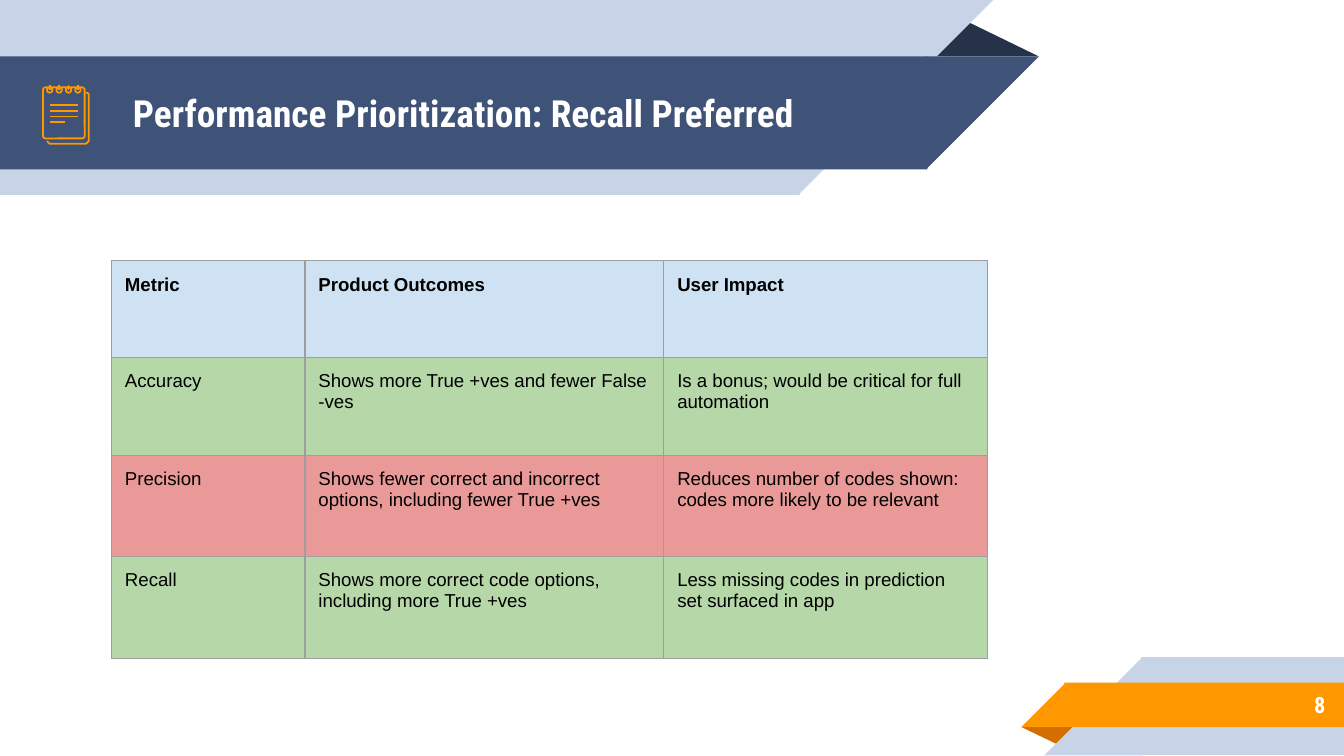
from lxml import etree
from pptx import Presentation
from pptx.dml.color import RGBColor
from pptx.enum.shapes import MSO_CONNECTOR, MSO_SHAPE
from pptx.enum.text import MSO_ANCHOR, PP_ALIGN
from pptx.oxml.ns import qn
from pptx.util import Inches, Pt

RECTANGLE = MSO_SHAPE.RECTANGLE
ROUNDED = MSO_SHAPE.ROUNDED_RECTANGLE
RIGHT_TRIANGLE = MSO_SHAPE.RIGHT_TRIANGLE
TRIANGLE = MSO_SHAPE.ISOSCELES_TRIANGLE
OVAL = MSO_SHAPE.OVAL
STRAIGHT = MSO_CONNECTOR.STRAIGHT
MIDDLE = MSO_ANCHOR.MIDDLE
LEFT, RIGHT = PP_ALIGN.LEFT, PP_ALIGN.RIGHT

WHITE = RGBColor(0xFF, 0xFF, 0xFF)
BLACK = RGBColor(0x00, 0x00, 0x00)
PALE_BLUE = RGBColor(0xC7, 0xD3, 0xE6)
NAVY = RGBColor(0x3F, 0x53, 0x78)
DARK_NAVY = RGBColor(0x26, 0x32, 0x48)
ORANGE = RGBColor(0xFF, 0x98, 0x00)
DARK_ORANGE = RGBColor(0xD2, 0x6F, 0x00)
HEADER_BLUE = RGBColor(0xCF, 0xE2, 0xF3)
GREEN = RGBColor(0xB6, 0xD7, 0xA8)
RED = RGBColor(0xEA, 0x99, 0x99)
BORDER_GREY = RGBColor(0x9E, 0x9E, 0x9E)

HEADING_FONT, BODY_FONT = "Roboto Condensed", "Arial"
ICON_LINE = Pt(0.96)
OVERLAP = 0.01  # hides the seam between a bar and its slanted end

COLUMN_WIDTHS = [1.44, 2.67, 2.41]
ROWS = [
    (0.72, HEADER_BLUE, ["Metric", "Product Outcomes", "User Impact"]),
    (0.73, GREEN, ["Accuracy", "Shows more True +ves and fewer False -ves",
                   "Is a bonus; would be critical for full automation"]),
    (0.75, RED, ["Precision",
                 "Shows fewer correct and incorrect options, including fewer True +ves",
                 "Reduces number of codes shown: codes more likely to be relevant"]),
    (0.76, GREEN, ["Recall", "Shows more correct code options, including more True +ves",
                   "Less missing codes in prediction set surfaced in app"]),
]


def add_filled(slide, kind, left, top, width, height, color, rotation=0):
    shape = slide.shapes.add_shape(kind, Inches(left), Inches(top), Inches(width), Inches(height))
    shape.shadow.inherit = False
    shape.fill.solid()
    shape.fill.fore_color.rgb = color
    shape.line.fill.background()
    shape.rotation = rotation
    return shape


def outline(shape):
    shape.shadow.inherit = False
    shape.fill.background()
    shape.line.color.rgb = ORANGE
    shape.line.width = ICON_LINE


def add_icon_line(slide, x1, y1, x2, y2):
    line = slide.shapes.add_connector(STRAIGHT, Inches(x1), Inches(y1), Inches(x2), Inches(y2))
    line.line.color.rgb = ORANGE
    line.line.width = ICON_LINE
    etree.SubElement(line._element.spPr, qn("a:effectLst"))


def format_text(text_frame, font_name, size, color, bold, alignment=LEFT):
    for paragraph in text_frame.paragraphs:
        paragraph.alignment = alignment
        for run in paragraph.runs:
            run.font.name = font_name
            run.font.size = Pt(size)
            run.font.color.rgb = color
            run.font.bold = bold


def add_heading_text(slide, text, left, top, width, height, size, alignment=LEFT):
    box = slide.shapes.add_textbox(Inches(left), Inches(top), Inches(width), Inches(height))
    frame = box.text_frame
    frame.word_wrap = True
    frame.vertical_anchor = MIDDLE
    frame.margin_left = frame.margin_right = frame.margin_top = frame.margin_bottom = Inches(0.1)
    frame.text = text
    format_text(frame, HEADING_FONT, size, WHITE, True, alignment)


def add_header(slide, left, top, title):
    fold = add_filled(slide, TRIANGLE, left + 6.88, top + 0.14, 0.85, 0.28, DARK_NAVY)
    fold.adjustments[0] = 0.324
    # Each ribbon is a bar with a square slanted end
    for offset, length, height, color in [(0, 5.94, 1.45, PALE_BLUE), (0.42, 6.89, 0.84, NAVY)]:
        add_filled(slide, RECTANGLE, left, top + offset, length + OVERLAP, height, color)
        add_filled(slide, RIGHT_TRIANGLE, left + length, top + offset, height, height, color, 90)
    add_heading_text(slide, title, left + 0.89, top + 0.42, 5.75, 0.84, 20)


def add_footer(slide, left, top, number):
    fold = add_filled(slide, TRIANGLE, left, top + 0.52, 0.43, 0.14, DARK_ORANGE, 180)
    fold.adjustments[0] = 0.324
    for start, offset, length, height, color in [(0.9, 0, 1.5, 0.73, PALE_BLUE),
                                                 (0.33, 0.19, 2.07, 0.33, ORANGE)]:
        add_filled(slide, RECTANGLE, left + start - OVERLAP, top + offset,
                   length + OVERLAP, height, color)
        add_filled(slide, RIGHT_TRIANGLE, left + start - height, top + offset,
                   height, height, color, 270)
    add_heading_text(slide, number, left + 0.73, top + 0.18, 1.63, 0.35, 12, RIGHT)


def add_notepad_icon(slide, left, top):
    # Back page, seen behind the right and bottom edges
    points = [(0.03, 0.42), (0.04, 0.43), (0.05, 0.44), (0.32, 0.44), (0.33, 0.43),
              (0.34, 0.42), (0.34, 0.07), (0.33, 0.06), (0.32, 0.06)]
    corners = [(Inches(left + x), Inches(top + y)) for x, y in points]
    builder = slide.shapes.build_freeform(*corners[0])
    builder.add_line_segments(corners[1:], close=False)
    outline(builder.convert_to_shape())

    # Front page
    page = slide.shapes.add_shape(ROUNDED, Inches(left), Inches(top + 0.02),
                                  Inches(0.31), Inches(0.38))
    page.adjustments[0] = 0.06
    outline(page)

    # Written lines, the last one short
    for index, length in enumerate([0.21, 0.21, 0.21, 0.11]):
        y = top + 0.15 + index * 0.13 / 3
        add_icon_line(slide, left + 0.05, y, left + 0.05 + length, y)

    # Binding rings and pins
    for index in range(4):
        x = left + 0.05 + index * 0.07
        ring = slide.shapes.add_shape(OVAL, Inches(x - 0.02), Inches(top + 0.02),
                                      Inches(0.04), Inches(0.04))
        outline(ring)
        add_icon_line(slide, x, top, x, top + 0.04)


def set_borders(cell):
    properties = cell._tc.get_or_add_tcPr()
    for index, side in enumerate(["lnL", "lnR", "lnT", "lnB"]):
        border = etree.Element(qn(f"a:{side}"), w=str(Pt(0.75)))
        fill = etree.SubElement(border, qn("a:solidFill"))
        etree.SubElement(fill, qn("a:srgbClr"), val=str(BORDER_GREY))
        properties.insert(index, border)


def add_metric_table(slide, left, top):
    width, height = sum(COLUMN_WIDTHS), sum(row[0] for row in ROWS)
    table = slide.shapes.add_table(len(ROWS), len(COLUMN_WIDTHS), Inches(left), Inches(top),
                                   Inches(width), Inches(height)).table
    table.first_row = table.horz_banding = False
    for column, column_width in zip(table.columns, COLUMN_WIDTHS):
        column.width = Inches(column_width)
    for row_index, (row_height, color, texts) in enumerate(ROWS):
        table.rows[row_index].height = Inches(row_height)
        for cell, text in zip(table.rows[row_index].cells, texts):
            cell.margin_left = cell.margin_right = Inches(0.1)
            cell.margin_top = cell.margin_bottom = Inches(0.1)
            cell.fill.solid()
            cell.fill.fore_color.rgb = color
            cell.text_frame.text = text
            format_text(cell.text_frame, BODY_FONT, 10, BLACK, row_index == 0)
            set_borders(cell)


def main():
    presentation = Presentation()
    presentation.slide_width = Inches(10)
    presentation.slide_height = Inches(10 * 9 / 16)
    slide = presentation.slides.add_slide(presentation.slide_layouts[6])
    add_header(slide, 0, 0, "Performance Prioritization: Recall Preferred")
    add_footer(slide, 7.6, 4.89, "8")
    add_notepad_icon(slide, 0.32, 0.63)
    add_metric_table(slide, 0.83, 1.94)
    presentation.save("out.pptx")


if __name__ == "__main__":
    main()
